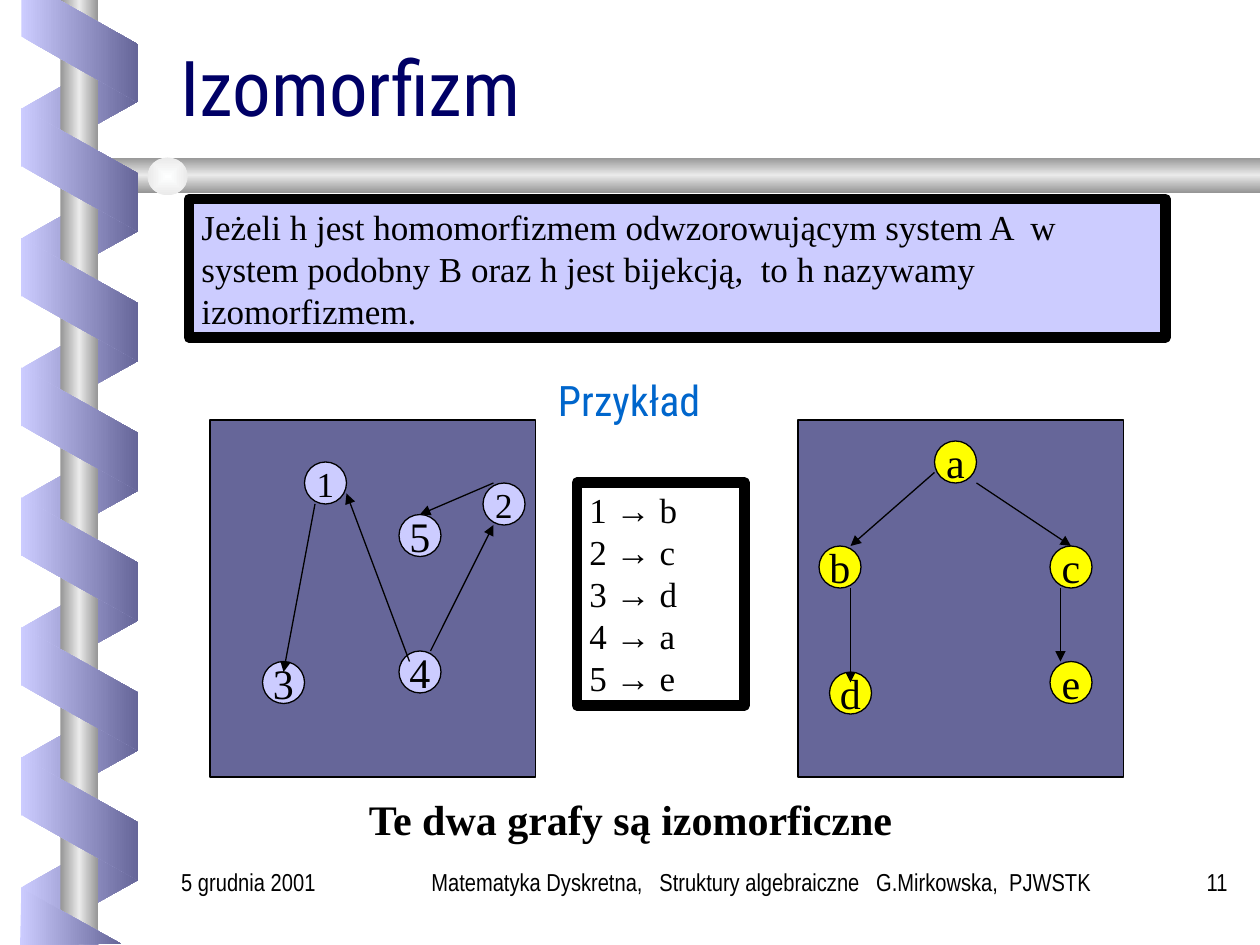
from lxml import etree
from pptx import Presentation
from pptx.dml.color import RGBColor
from pptx.enum import shapes, text
from pptx.oxml.ns import qn
from pptx.util import Inches, Pt

BLACK = RGBColor(0x00, 0x00, 0x00)
NAVY = RGBColor(0x00, 0x00, 0x66)
BLUE = RGBColor(0x00, 0x66, 0xCC)
LAVENDER = RGBColor(0xCC, 0xCC, 0xFF)
SLATE = RGBColor(0x66, 0x66, 0x99)
YELLOW = RGBColor(0xFF, 0xFF, 0x00)
STEEL = RGBColor(0x96, 0x96, 0x96)
SILVER = RGBColor(0xEA, 0xEA, 0xEA)
PEARL = RGBColor(0xFE, 0xFF, 0xFF)

SERIF, DISPLAY, NARROW = "Times New Roman", "Roboto Condensed", "Arial Narrow"
UNIT = 1 / 12  # graph grid step in inches
NODE_SIZE = 4 * UNIT


def fill_gradient(shape, colors, angle=0, from_center=False):
    """Spread colors evenly; the angle is clockwise and turns with the shape."""
    shape.shadow.inherit = False
    shape.line.fill.background()
    shape.fill.gradient()
    gradient = shape._element.spPr.find(qn("a:gradFill"))
    for child in list(gradient):
        gradient.remove(child)
    stops = etree.SubElement(gradient, qn("a:gsLst"))
    for index, color in enumerate(colors):
        position = str(100000 * index // (len(colors) - 1))
        stop = etree.SubElement(stops, qn("a:gs"), pos=position)
        etree.SubElement(stop, qn("a:srgbClr"), val=str(color))
    if from_center:
        path = etree.SubElement(gradient, qn("a:path"), path="rect")
        etree.SubElement(path, qn("a:fillToRect"), l="50000", t="50000", r="50000", b="50000")
    else:
        etree.SubElement(gradient, qn("a:lin"), ang=str(angle * 60000), scaled="0")


def add_box(slide, kind, box, fill=None, line_width=0.75):
    shape = slide.shapes.add_shape(kind, *map(Inches, box))
    shape.shadow.inherit = False
    if fill is None:
        shape.fill.background()
    else:
        shape.fill.solid()
        shape.fill.fore_color.rgb = fill
    shape.line.color.rgb = BLACK
    shape.line.width = Pt(line_width)
    return shape


def format_text(shape, size, font=SERIF, color=BLACK, bold=False, align=text.PP_ALIGN.LEFT,
                anchor=text.MSO_ANCHOR.TOP, wrap=True):
    frame = shape.text_frame
    frame.word_wrap = wrap
    frame.vertical_anchor = anchor
    paragraph = frame.paragraphs[0]
    paragraph.alignment = align
    paragraph.font.size = Pt(size)
    paragraph.font.name = font
    paragraph.font.bold = bold
    paragraph.font.color.rgb = color
    return paragraph


def add_text(slide, box, words, size, **formatting):
    shape = slide.shapes.add_textbox(*map(Inches, box))
    shape.text_frame.text = words
    format_text(shape, size, **formatting)


def add_outline(slide, points):
    points = [(Inches(x), Inches(y)) for x, y in points]
    builder = slide.shapes.build_freeform(*points[0])
    builder.add_line_segments(points[1:], close=True)
    return builder.convert_to_shape()


def add_ribbon(slide, left, top, count, behind):
    """Stack the turns of the spiral that pass behind or before the pole."""
    for turn in range(count):
        band = slide.shapes.add_shape(shapes.MSO_SHAPE.PARALLELOGRAM, Inches(left),
                                      Inches(top + 1.03 * turn), Inches(0.98), Inches(0.93))
        band.adjustments[0] = 0.56
        band.rotation = 90 if behind else 270
        if behind:
            band._element.spPr.xfrm.set("flipH", "1")
        fill_gradient(band, [LAVENDER, SLATE], 270 if behind else 90)


def add_binding(slide, left, width, height):
    """Spiral, pole and horizontal bar of the slide design."""
    add_ribbon(slide, left, 0.37, 7, behind=True)

    # Pole, bar and ball
    pole = slide.shapes.add_shape(shapes.MSO_SHAPE.RECTANGLE, Inches(left + 0.34), 0,
                                  Inches(0.3), Inches(height))
    fill_gradient(pole, [STEEL, SILVER, STEEL])
    bar = add_outline(slide, [(width, 1.25), (0.76, 1.25), (0.6, 1.39), (0.76, 1.53), (width, 1.53)])
    fill_gradient(bar, [STEEL, SILVER, STEEL], 90)
    ball = slide.shapes.add_shape(shapes.MSO_SHAPE.OVAL, Inches(1.17), Inches(1.25),
                                  Inches(0.32), Inches(0.3))
    fill_gradient(ball, [PEARL, SILVER], from_center=True)

    # Front turns, with cut pieces at both slide edges
    add_ribbon(slide, left, 0.88, 6, behind=False)
    for points in ([(0.17, 0), (0.17, 0.29), (1.09, 0.81), (1.09, 0.35), (0.47, 0)],
                   [(0.96, 7.49), (0.17, 7.05), (0.16, 7.5)]):
        fill_gradient(add_outline(slide, points), [LAVENDER, SLATE])


def add_title(slide, box, words):
    title = slide.shapes.title
    title.left, title.top, title.width, title.height = map(Inches, box)
    title.text_frame.text = words
    paragraph = format_text(title, 44, DISPLAY, NAVY, anchor=text.MSO_ANCHOR.BOTTOM)
    paragraph.line_spacing = 0.8


def add_definition(slide, box, words):
    shape = add_box(slide, shapes.MSO_SHAPE.RECTANGLE, box, LAVENDER, 6)
    shape.text_frame.text = words
    format_text(shape, 20)


def add_mapping(slide, box, pairs):
    shape = add_box(slide, shapes.MSO_SHAPE.RECTANGLE, box, line_width=6)
    paragraph = format_text(shape, 20)
    for index, (source, target) in enumerate(pairs):
        if index:
            paragraph.add_line_break()
        for words, font in ((f"{source} ", SERIF), ("→", "Arial"), (f" {target}", SERIF)):
            run = paragraph.add_run()
            run.text = words
            run.font.name = font


def add_graph(slide, box, node_color, nodes, edges):
    """Draw nodes (label, column, row, size) and arrows on the grid of the panel."""
    left, top = box[:2]
    add_box(slide, shapes.MSO_SHAPE.RECTANGLE, box, SLATE)
    for label, column, row, size in nodes:
        node = add_box(slide, shapes.MSO_SHAPE.OVAL,
                       (left + column * UNIT, top + row * UNIT, NODE_SIZE, NODE_SIZE), node_color)
        node.text_frame.text = label
        format_text(node, size, align=text.PP_ALIGN.CENTER, anchor=text.MSO_ANCHOR.MIDDLE, wrap=False)
    for x1, y1, x2, y2 in edges:
        arrow = slide.shapes.add_connector(
            shapes.MSO_CONNECTOR.STRAIGHT, Inches(left + x1 * UNIT), Inches(top + y1 * UNIT),
            Inches(left + x2 * UNIT), Inches(top + y2 * UNIT))
        arrow.line.color.rgb = BLACK
        arrow.line.width = Pt(0.75)
        etree.SubElement(arrow.line._get_or_add_ln(), qn("a:tailEnd"), type="triangle")
        etree.SubElement(arrow._element.spPr, qn("a:effectLst"))


def add_footer(slide, top, height):
    for left, width, words, align in (
            (3.17, 5.75, "Matematyka Dyskretna,   Struktury algebraiczne   G.Mirkowska,  PJWSTK",
             text.PP_ALIGN.CENTER),
            (9, 0.84, "11", text.PP_ALIGN.RIGHT),
            (1.34, 1.74, "5 grudnia 2001", text.PP_ALIGN.LEFT)):
        add_text(slide, (left, top, width, height), words, 14, font=NARROW, align=align)


def main():
    presentation = Presentation()
    presentation.slide_width, presentation.slide_height = Inches(10), Inches(7.5)
    slide = presentation.slides.add_slide(presentation.slide_layouts[5])

    add_binding(slide, 0.14, 10, 7.5)
    add_title(slide, (1.33, 0.46, 8.5, 0.63), "Izomorfizm")
    add_definition(slide, (1.5, 1.58, 7.75, 1.1),
                   "Jeżeli h jest homomorfizmem odwzorowującym system A  w system podobny B "
                   "oraz h jest bijekcją,  to h nazywamy izomorfizmem.")

    # The two graphs and the mapping between them
    panel_top, panel_width, panel_height = 40 * UNIT, 31 * UNIT, 34 * UNIT
    add_graph(slide, (20 * UNIT, panel_top, panel_width, panel_height), LAVENDER,
              [("1", 9, 4, 20), ("2", 26, 6, 20), ("3", 5, 23, 24), ("4", 18, 22, 24), ("5", 18, 9, 24)],
              [(10, 8, 7, 24), (21, 22, 27, 10), (19, 23, 13, 7), (27, 6, 20, 9)])
    add_graph(slide, (76 * UNIT, panel_top, panel_width, panel_height), YELLOW,
              [("b", 2, 12, 24), ("c", 24, 12, 24), ("d", 3, 24, 24), ("a", 13, 2, 24), ("e", 24, 23, 24)],
              [(5, 16, 5, 25), (17, 6, 26, 12), (13, 5, 5, 12), (25, 16, 25, 23)])
    add_mapping(slide, (4.58, 3.83, 1.33, 1.77), zip("12345", "bcdae"))

    # Captions
    add_text(slide, (2.83, 6.25, 4.83, 0.5), "Te dwa grafy są izomorficzne", 24, bold=True)
    add_text(slide, (4.33, 2.92, 1.72, 0.63), "Przykład", 24, font=DISPLAY, color=BLUE, wrap=False)
    add_footer(slide, 6.83, 0.5)

    presentation.save("out.pptx")


if __name__ == "__main__":
    main()
